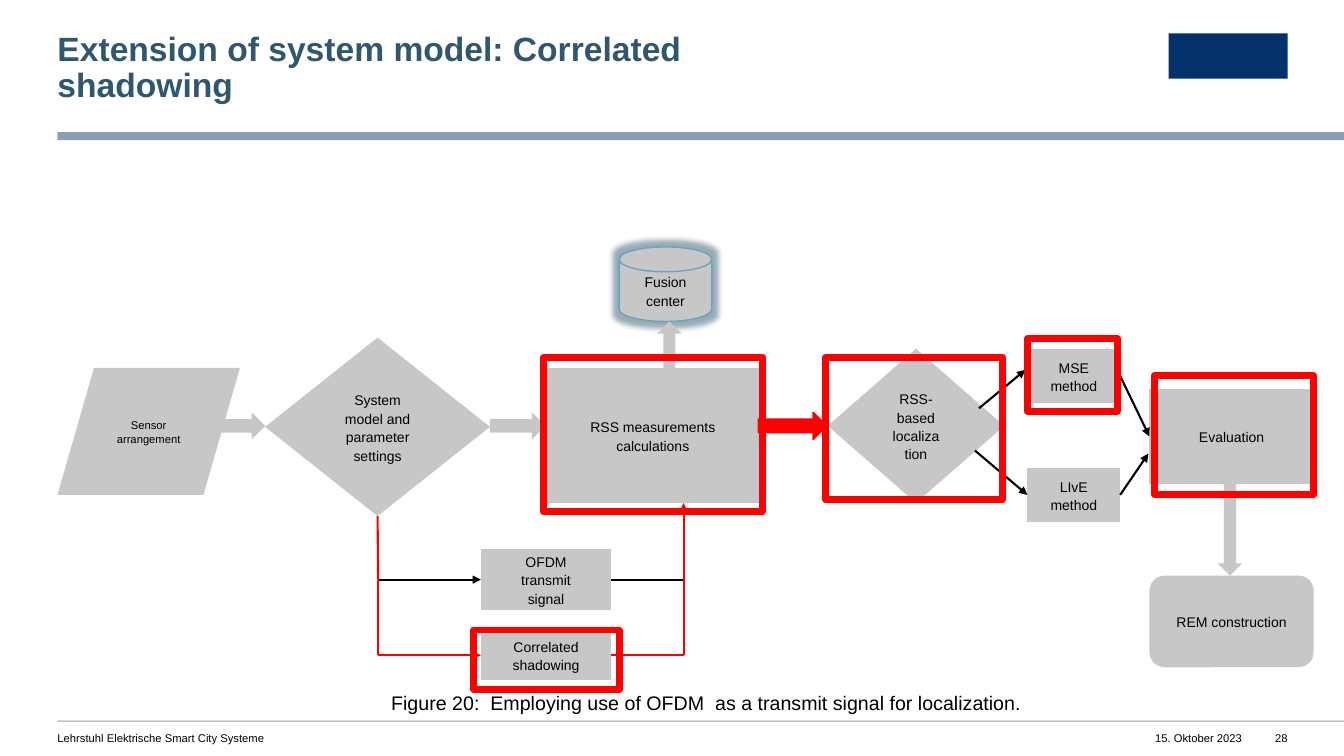
from lxml import etree
from pptx import Presentation
from pptx.dml.color import RGBColor
from pptx.enum.shapes import MSO_CONNECTOR, MSO_SHAPE
from pptx.enum.text import MSO_ANCHOR, PP_ALIGN
from pptx.oxml.ns import qn
from pptx.util import Inches, Pt

STRAIGHT = MSO_CONNECTOR.STRAIGHT
RECT = MSO_SHAPE.RECTANGLE
PROCESS = MSO_SHAPE.FLOWCHART_PROCESS
DECISION = MSO_SHAPE.FLOWCHART_DECISION
INPUT = MSO_SHAPE.FLOWCHART_DATA
DISK = MSO_SHAPE.FLOWCHART_MAGNETIC_DISK
ROUNDED = MSO_SHAPE.FLOWCHART_ALTERNATE_PROCESS
RIGHT_ARROW = MSO_SHAPE.RIGHT_ARROW
UP_ARROW = MSO_SHAPE.UP_ARROW
DOWN_ARROW = MSO_SHAPE.DOWN_ARROW
LEFT, CENTER, RIGHT = PP_ALIGN.LEFT, PP_ALIGN.CENTER, PP_ALIGN.RIGHT
MIDDLE, TOP = MSO_ANCHOR.MIDDLE, MSO_ANCHOR.TOP
SITE_LEFT, SITE_BOTTOM, SITE_RIGHT = 1, 2, 3

BLACK, RED, GREY = "000000", "FF0000", "C7C7C7"
NAVY, SLATE, TEAL, SKY = "04316A", "8C9FB1", "2F586E", "6BA2C0"


def color(value):
    """Turn a hex string into a colour."""
    return RGBColor.from_string(value)


def write(frame, text, size=10, ink=BLACK, bold=False, align=LEFT, anchor=TOP,
          inset=0, spacing=None, after=None):
    """Fill a text frame with one formatted paragraph."""
    frame.word_wrap = True
    frame.vertical_anchor = anchor
    frame.margin_left = frame.margin_right = Inches(inset)
    frame.margin_top = frame.margin_bottom = Inches(inset)
    paragraph = frame.paragraphs[0]
    paragraph.alignment = align
    if spacing:
        paragraph.line_spacing = spacing
    if after:
        paragraph.space_after = Pt(after)
    run = paragraph.add_run()
    run.text = text
    run.font.name = "Arial"
    run.font.size = Pt(size)
    run.font.bold = bold
    run.font.color.rgb = color(ink)


class FlowSlide:
    """Holds the slide and draws its elements in one style."""

    def __init__(self, slide):
        """Keep the slide to draw on."""
        self.slide = slide

    def text(self, place, text, **style):
        """Add a text box."""
        box = self.slide.shapes.add_textbox(*map(Inches, place))
        write(box.text_frame, text, **style)

    def shape(self, kind, place, fill=GREY, line=None, width=1):
        """Add a preset shape."""
        shape = self.slide.shapes.add_shape(kind, *map(Inches, place))
        shape.shadow.inherit = False
        if fill:
            shape.fill.solid()
            shape.fill.fore_color.rgb = color(fill)
        else:
            shape.fill.background()
        if line:
            shape.line.color.rgb = color(line)
            shape.line.width = Pt(width)
        else:
            shape.line.fill.background()
        return shape

    def step(self, kind, place, text, size=10, line=None):
        """Add a labelled step of the flow."""
        step = self.shape(kind, place, line=line)
        write(step.text_frame, text, size=size, align=CENTER, anchor=MIDDLE,
              inset=0.2, spacing=1.1, after=12)
        return step

    def highlight(self, place):
        """Add a red frame."""
        self.shape(RECT, place, fill=None, line=RED, width=5)

    def glow(self, shape, hue, radius, alpha):
        """Give a shape a soft halo."""
        effects = shape.element.spPr.find(qn("a:effectLst"))
        halo = etree.SubElement(effects, qn("a:glow"), rad=str(Pt(radius)))
        tint = etree.SubElement(halo, qn("a:srgbClr"), val=hue)
        etree.SubElement(tint, qn("a:alpha"), val=str(alpha * 1000))

    def link(self, start, end, ink=BLACK, arrow=False, source=None, target=None):
        """Add a straight line, joined to (shape, site) pairs if given."""
        link = self.slide.shapes.add_connector(
            STRAIGHT, *map(Inches, (*start, *end)))
        if source:
            link.begin_connect(*source)
        if target:
            link.end_connect(*target)
        link.line.color.rgb = color(ink)
        link.line.width = Pt(1.5)
        if arrow:
            etree.SubElement(link.line._get_or_add_ln(), qn("a:tailEnd"),
                             type="triangle")
        etree.SubElement(link.element.spPr, qn("a:effectLst"))


def main():
    """Build and save the slide."""
    deck = Presentation()
    deck.slide_width, deck.slide_height = Inches(13.33), Inches(7.5)
    flow = FlowSlide(deck.slides.add_slide(deck.slide_layouts[6]))

    flow.shape(RECT, (0.57, 1.31, 12.76, 0.08), SLATE)
    flow.shape(RECT, (0.57, 7.15, 12.76, 0.01), SLATE)
    flow.shape(RECT, (11.59, 0.33, 1.18, 0.45), NAVY)
    flow.text((0.57, 0.32, 7.49, 0.73),
              "Extension of system model: Correlated shadowing",
              size=24, ink=TEAL, bold=True, spacing=0.9)
    flow.text((0.57, 7.26, 5.98, 0.13),
              "Lehrstuhl Elektrische Smart City Systeme", size=8)
    flow.text((11.39, 7.26, 0.93, 0.13), "15. Oktober 2023", size=8, align=RIGHT)
    flow.text((12.56, 7.26, 0.21, 0.13), "28", size=8, align=RIGHT)

    flow.step(INPUT, (0.57, 3.65, 1.81, 1.26), "Sensor arrangement", size=8)
    settings = flow.step(DECISION, (2.63, 3.35, 2.23, 1.77),
                         "System model and parameter settings")
    flow.step(PROCESS, (5.41, 3.65, 2.13, 1.34), "RSS measurements calculations")
    ofdm = flow.step(PROCESS, (4.77, 5.45, 1.29, 0.6), "OFDM transmit signal")
    shadowing = flow.step(PROCESS, (4.77, 6.25, 1.29, 0.5), "Correlated shadowing")
    flow.step(DECISION, (8.21, 3.46, 1.75, 1.53), "RSS-based localization")
    fusion = flow.step(DISK, (6.14, 2.45, 0.92, 0.74), "Fusion center", line=SKY)
    flow.glow(fusion, TEAL, radius=8, alpha=50)
    mse = flow.step(PROCESS, (10.19, 3.46, 0.92, 0.54), "MSE method")
    live = flow.step(PROCESS, (10.19, 4.64, 0.92, 0.54), "LIvE method")
    evaluation = flow.step(PROCESS, (11.4, 3.86, 1.63, 0.94), "Evaluation")
    flow.step(ROUNDED, (11.4, 5.71, 1.63, 0.91), "REM construction")

    for left, width, fill, line in ((1.94, 0.69, GREY, None),
                                    (4.86, 0.55, GREY, None),
                                    (7.52, 0.68, RED, RED)):
        flow.shape(RIGHT_ARROW, (left, 4.09, width, 0.27), fill, line)
    flow.shape(UP_ARROW, (6.52, 3.19, 0.24, 0.46))
    flow.shape(DOWN_ARROW, (12.08, 4.8, 0.24, 0.91))

    split, merge, ofdm_row, shadow_row = 3.75, 6.78, 5.75, 6.5
    for signal, row, ink in ((ofdm, ofdm_row, BLACK), (shadowing, shadow_row, RED)):
        flow.link((split, row), (4.77, row), ink, arrow=True,
                  target=(signal, SITE_LEFT))
        flow.link((6.06, row), (merge, row), ink, source=(signal, SITE_RIGHT))
    flow.link((split, 5.12), (split, ofdm_row), RED, source=(settings, SITE_BOTTOM))
    flow.link((split, ofdm_row), (split, shadow_row), RED)
    flow.link((merge, shadow_row), (merge, ofdm_row), RED)
    flow.link((merge, ofdm_row), (merge, 4.99), RED, arrow=True)

    flow.link((9.71, 4.05), (10.17, 3.67), arrow=True)
    flow.link((9.67, 4.47), (10.19, 4.91), arrow=True, target=(live, SITE_LEFT))
    flow.link((11.11, 3.73), (11.4, 4.33), arrow=True,
              source=(mse, SITE_RIGHT), target=(evaluation, SITE_LEFT))
    flow.link((11.11, 4.91), (11.39, 4.5), arrow=True, source=(live, SITE_RIGHT))

    for place in ((4.7, 6.25, 1.44, 0.59), (5.39, 3.55, 2.17, 1.53),
                  (8.19, 3.55, 1.75, 1.41), (10.19, 3.36, 0.89, 0.72),
                  (11.45, 3.73, 1.58, 1.18)):
        flow.highlight(place)
    flow.text((3.88, 6.83, 7.04, 0.24),
              "Figure 20:  Employing use of OFDM  as a transmit signal for localization.",
              size=14, spacing=1.1, after=12)
    deck.save("out.pptx")


if __name__ == "__main__":
    main()
